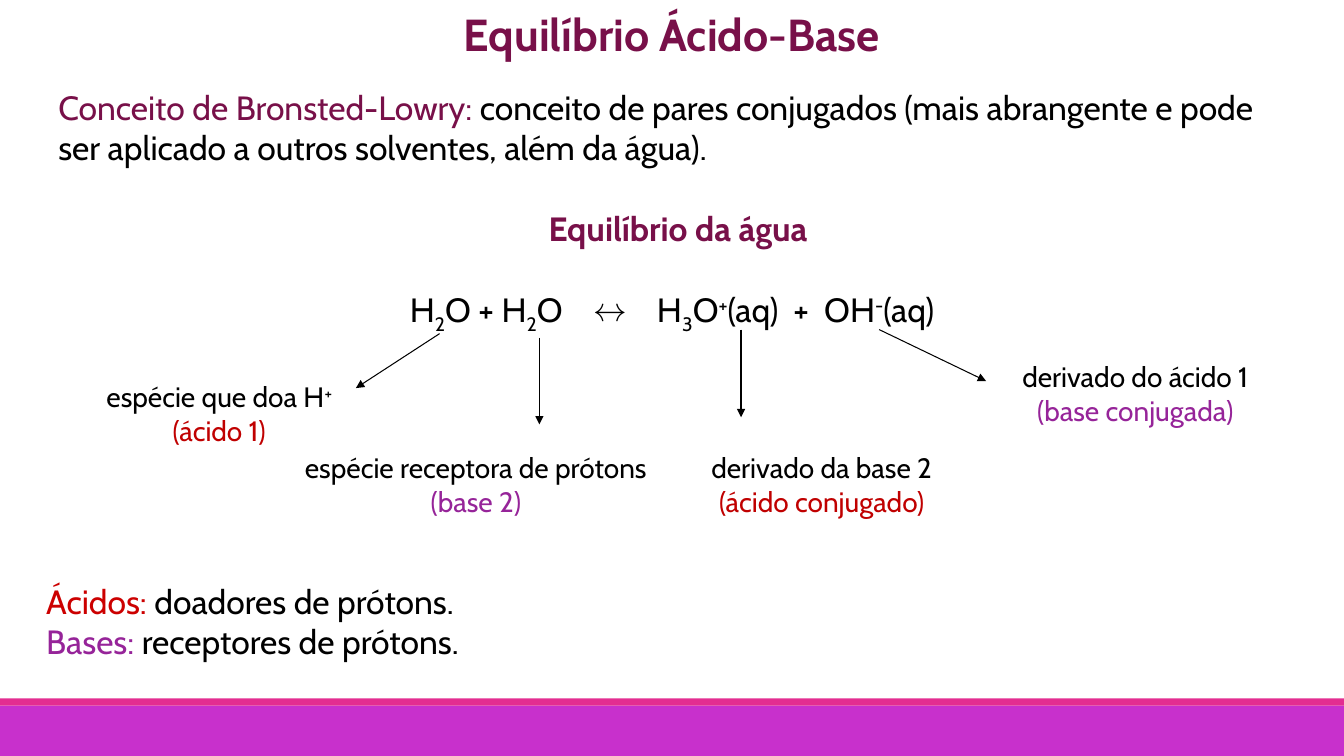
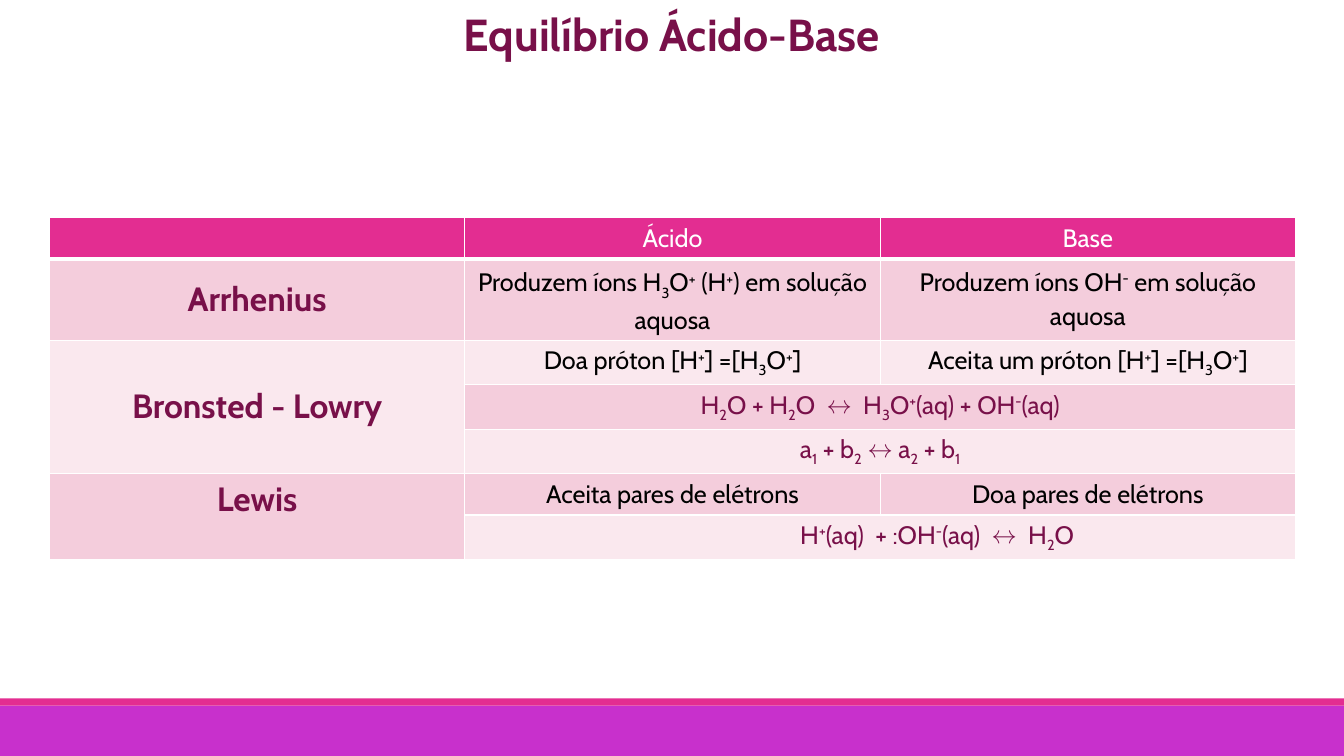
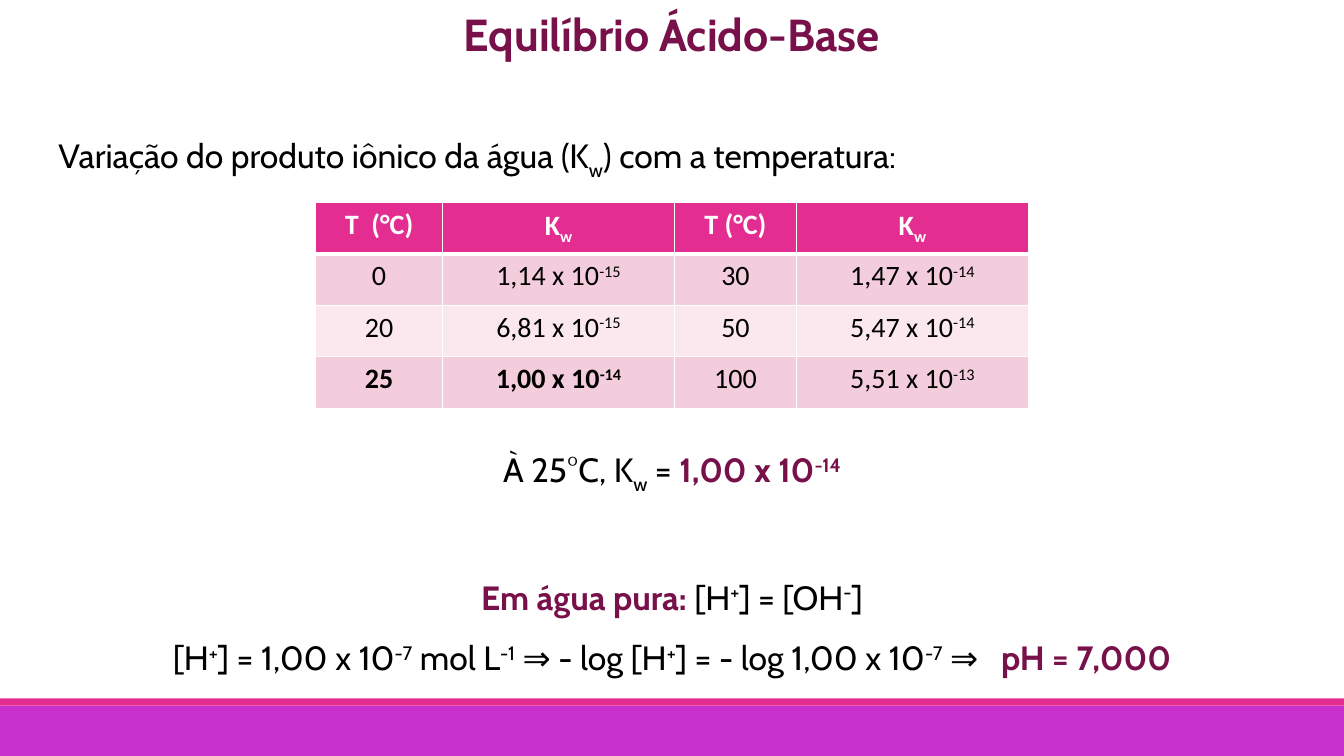
"""Builds three slides on acid-base equilibrium."""
from dataclasses import dataclass

from lxml import etree
from pptx import Presentation
from pptx.dml.color import RGBColor
from pptx.enum.shapes import MSO_CONNECTOR, MSO_SHAPE
from pptx.enum.text import MSO_ANCHOR, PP_ALIGN
from pptx.oxml.ns import qn
from pptx.util import Inches, Pt

LEFT, CENTER = PP_ALIGN.LEFT, PP_ALIGN.CENTER
TOP, MIDDLE = MSO_ANCHOR.TOP, MSO_ANCHOR.MIDDLE
RECT, STRAIGHT = MSO_SHAPE.RECTANGLE, MSO_CONNECTOR.STRAIGHT
SHIFT = {"_": "-25000", "^": "30000"}
WIDE, HIGH = 13.33, 7.5


@dataclass(frozen=True)
class Theme:
    """Colours, fonts and type sizes of the deck."""
    wine: str = "781049"
    pink: str = "E32D91"
    purple: str = "C830CC"
    violet: str = "962499"
    red: str = "C00000"
    bright: str = "CC0000"
    dark: str = "F4CDDC"
    light: str = "FAE8EE"
    black: str = "000000"
    white: str = "FFFFFF"
    font: str = "Cabin"
    plain: str = "Calibri"
    title: int = 32
    body: int = 24
    note: int = 20
    cell: int = 18
    line: float = 29.2
    space: float = 0.226


THEME = Theme()


@dataclass
class Span:
    """Text of one colour: {_x} lowers, {^x} raises, {n x} widens x by n spaces."""
    text: str
    color: str = THEME.black
    bold: bool = False


@dataclass
class Para:
    """Paragraph of spans; gap counts body lines above it."""
    spans: list
    size: int = THEME.body
    align: int = LEFT
    gap: float = 0
    lead: float = 1
    indent: float = 0
    font: str = THEME.font


@dataclass
class Cell:
    """Table cell: a paragraph, its anchor and the rows and columns it covers."""
    para: Para
    anchor: int = TOP
    rows: int = 1
    cols: int = 1


def tint(font, span):
    """Give a font the colour and weight of a span."""
    font.color.rgb = RGBColor.from_string(span.color)
    font.bold = span.bold


def split(text):
    """Yield each piece of marked text with its mark."""
    for part in text.split("{"):
        head, mark, rest = part.partition("}")
        if mark:
            yield head[0], head[1:]
        else:
            rest = head
        if rest:
            yield "", rest


def write(frame, paras):
    """Fill a text frame with paragraphs."""
    for i, para in enumerate(paras):
        p = frame.add_paragraph() if i else frame.paragraphs[0]
        p.alignment = para.align
        if para.gap:
            p.space_before = Pt(round(para.gap * THEME.line, 1))
        if para.lead != 1:
            p.line_spacing = para.lead
        if para.indent:
            p._p.get_or_add_pPr().set("marL", str(Inches(para.indent)))
        p.font.name, p.font.size = para.font, Pt(para.size)
        single = len(para.spans) == 1
        if single:
            tint(p.font, para.spans[0])
        for span in para.spans:
            for mark, text in split(span.text):
                run = p.add_run()
                run.text = text
                if not single:
                    tint(run.font, span)
                props = run._r.get_or_add_rPr()
                if mark in SHIFT:
                    props.set("baseline", SHIFT[mark])
                elif mark:
                    extra = int(mark) * para.size * THEME.space
                    props.set("spc", str(round(extra * 100)))


def box(slide, x, y, w, h, paras):
    """Add a wrapping text box."""
    frame = slide.shapes.add_textbox(
        Inches(x), Inches(y), Inches(w), Inches(h)).text_frame
    frame.word_wrap = True
    write(frame, paras)


def band(slide, y, h, color):
    """Add a plain band across the slide."""
    shape = slide.shapes.add_shape(
        RECT, 0, Inches(y), Inches(WIDE), Inches(h))
    shape.shadow.inherit = False
    shape.fill.solid()
    shape.fill.fore_color.rgb = RGBColor.from_string(color)
    shape.line.fill.background()


def start(deck):
    """Add a slide with the shared bands and title."""
    slide = deck.slides.add_slide(deck.slide_layouts[6])
    band(slide, 7, 0.5, THEME.purple)
    band(slide, 6.93, 0.07, THEME.pink)
    box(slide, 0, 0.02, WIDE, 0.64, [
        Para([Span("Equilíbrio Ácido-Base", THEME.wine, True)],
             THEME.title, CENTER)])
    return slide


def arrow(slide, x1, y1, x2, y2, width):
    """Add a black line with a triangle at its end."""
    line = slide.shapes.add_connector(
        STRAIGHT, Inches(x1), Inches(y1), Inches(x2), Inches(y2))
    line.line.color.rgb = RGBColor.from_string(THEME.black)
    line.line.width = Pt(width)
    etree.SubElement(line.line._get_or_add_ln(), qn("a:tailEnd"),
                     type="triangle")
    etree.SubElement(line._element.spPr, qn("a:effectLst"))


def label(slide, x, y, w, name, role, color):
    """Add a centred species name above its coloured role."""
    box(slide, x, y, w, 0.77, [
        Para([Span(name)], THEME.note, CENTER),
        Para([Span(role, color)], THEME.note, CENTER)])


def edge(cell, side, width):
    """Draw one white cell border."""
    line = etree.SubElement(cell._tc.get_or_add_tcPr(), qn("a:ln" + side),
                            w=str(Pt(width)))
    fill = etree.SubElement(line, qn("a:solidFill"))
    etree.SubElement(fill, qn("a:srgbClr"), val=THEME.white)


def grid(slide, x, y, widths, height, rows):
    """Add a banded table; None marks a cell without text."""
    table = slide.shapes.add_table(
        len(rows), len(widths), Inches(x), Inches(y),
        Inches(sum(widths)), Inches(height * len(rows))).table
    for col, width in zip(table.columns, widths):
        col.width = Inches(width)
    for r, row in enumerate(rows):
        table.rows[r].height = Inches(height)
        color = (THEME.light, THEME.dark)[r % 2] if r else THEME.pink
        for c, item in enumerate(row):
            cell = table.cell(r, c)
            edge(cell, "L", 1)
            edge(cell, "R", 1)
            edge(cell, "T", 3 if r == 1 else 1)
            edge(cell, "B", 1 if r else 3)
            cell.fill.solid()
            cell.fill.fore_color.rgb = RGBColor.from_string(color)
            if item:
                cell.vertical_anchor = item.anchor
                write(cell.text_frame, [item.para])
                if item.rows * item.cols > 1:
                    cell.merge(table.cell(r + item.rows - 1,
                                          c + item.cols - 1))


def entry(text, color=THEME.black, lead=1, indent=0, cols=1):
    """Make a centred cell of the theory table."""
    return Cell(Para([Span(text, color)], THEME.cell, CENTER,
                     lead=lead, indent=indent), cols=cols)


def theory(name, rows=1, anchor=MIDDLE):
    """Make a bold row heading."""
    return Cell(Para([Span(name, THEME.wine, True)], align=CENTER),
                anchor, rows)


def value(text, color=THEME.black, bold=False, anchor=TOP):
    """Make a centred cell of the temperature table."""
    return Cell(Para([Span(text, color, bold)], THEME.note, CENTER,
                     font=THEME.plain), anchor)


def water(deck):
    """Build the slide on conjugate pairs in water."""
    slide = start(deck)
    box(slide, 0.36, 0.81, 12.61, 5.76, [
        Para([Span("Conceito de Bronsted-Lowry: ", THEME.wine),
              Span("conceito de pares conjugados (mais abrangente e pode "
                   "ser aplicado a outros solventes, além da água).")],
             indent=0.12),
        Para([Span("Equilíbrio da água", THEME.wine, True)],
             align=CENTER, gap=1, indent=0.12),
        Para([Span("H{_2}O + H{_2}O{3 ↔} H{_3}O{^+}(aq){1 +} OH{^-}(aq)")],
             align=CENTER, gap=1),
        Para([Span("Ácidos:", THEME.bright), Span(" doadores de prótons.")],
             gap=6),
        Para([Span("Bases: ", THEME.violet),
              Span("receptores de prótons.")])])
    for spot in (
            (0.71, 3.72, 2.93, "espécie que doa H{^+}", "(ácido 1)",
             THEME.red),
            (2.77, 4.42, 3.9, "espécie receptora de prótons", "(base 2)",
             THEME.violet),
            (6.75, 4.42, 2.8, "derivado da base 2", "(ácido conjugado)",
             THEME.red),
            (9.55, 3.52, 3.42, "derivado do ácido 1", "(base conjugada)",
             THEME.violet)):
        label(slide, *spot)
    for ends in ((4.36, 3.31, 3.53, 3.85, 0.75),
                 (8.72, 3.27, 9.78, 3.78, 0.75),
                 (5.35, 3.35, 5.35, 4.21, 1),
                 (7.35, 3.27, 7.35, 4.14, 1)):
        arrow(slide, *ends)


def theories(deck):
    """Build the slide that compares the three theories."""
    slide = start(deck)
    grid(slide, 0.49, 2.16, [4.12] * 3, 0.41, [
        [None, entry("Ácido", THEME.white), entry("Base", THEME.white)],
        [theory("Arrhenius"),
         entry("Produzem íons H{_3}O{^+} (H{^+}) em solução aquosa",
               lead=1.1),
         entry("Produzem íons OH{^-} em solução aquosa", lead=1.1)],
        [theory("Bronsted - Lowry", 3),
         entry("Doa próton [H{^+}] =[H{_3}O{^+}]"),
         entry("Aceita um próton [H{^+}] =[H{_3}O{^+}]")],
        [None,
         entry("H{_2}O + H{_2}O{1 ↔} H{_3}O{^+}(aq) + OH{^-}(aq)",
               THEME.wine, cols=2), None],
        [None,
         entry("a{_1} + b{_2} ↔ a{_2} + b{_1}", THEME.wine, cols=2), None],
        [theory("Lewis", 2, TOP), entry("Aceita pares de elétrons"),
         entry("Doa pares de elétrons")],
        [None,
         entry("H{^+}(aq){1 }+ :OH{^-}(aq){1 ↔} H{_2}O", THEME.wine,
               indent=1.13, cols=2), None]])


def product(deck):
    """Build the slide on the ionic product of water."""
    slide = start(deck)
    box(slide, 0.36, 1.29, 12.61, 5.29, [
        Para([Span("Variação do produto iônico da água (K{_w}) "
                   "com a temperatura:")], indent=0.12),
        Para([Span("À 25°C, K{_w} = "),
              Span("1,00 x 10{^-14}", THEME.wine, True)],
             align=CENTER, gap=6, lead=1.5),
        Para([Span("Em água pura: ", THEME.wine, True),
              Span("[H{^+}] = [OH{^-}]")],
             align=CENTER, gap=1.5, lead=1.5),
        Para([Span("[H{^+}] = 1,00 x 10{^-7} mol L{^-1} ⇒ - log [H{^+}] = "
                   "- log 1,00 x 10{^-7} ⇒{2 }"),
              Span("pH = 7,000", THEME.wine, True)],
             align=CENTER, lead=1.5)])
    heads = [value(text, THEME.white, True, anchor) for text, anchor in (
        ("T{1 }(°C)", TOP), ("K{_w}", MIDDLE),
        ("T (°C)", TOP), ("K{_w}", MIDDLE))]
    data = (("0", "1,14 x 10{^-15}", "30", "1,47 x 10{^-14}"),
            ("20", "6,81 x 10{^-15}", "50", "5,47 x 10{^-14}"),
            ("25", "1,00 x 10{^-14}", "100", "5,51 x 10{^-13}"))
    rows = [[value(text, bold=row[0] == "25" and c < 2)
             for c, text in enumerate(row)] for row in data]
    grid(slide, 3.13, 2.01, [1.26, 2.3, 1.21, 2.3], 0.51, [heads] + rows)


def main():
    """Build and save the deck."""
    deck = Presentation()
    deck.slide_width, deck.slide_height = Inches(WIDE), Inches(HIGH)
    water(deck)
    theories(deck)
    product(deck)
    deck.save("out.pptx")


if __name__ == "__main__":
    main()
